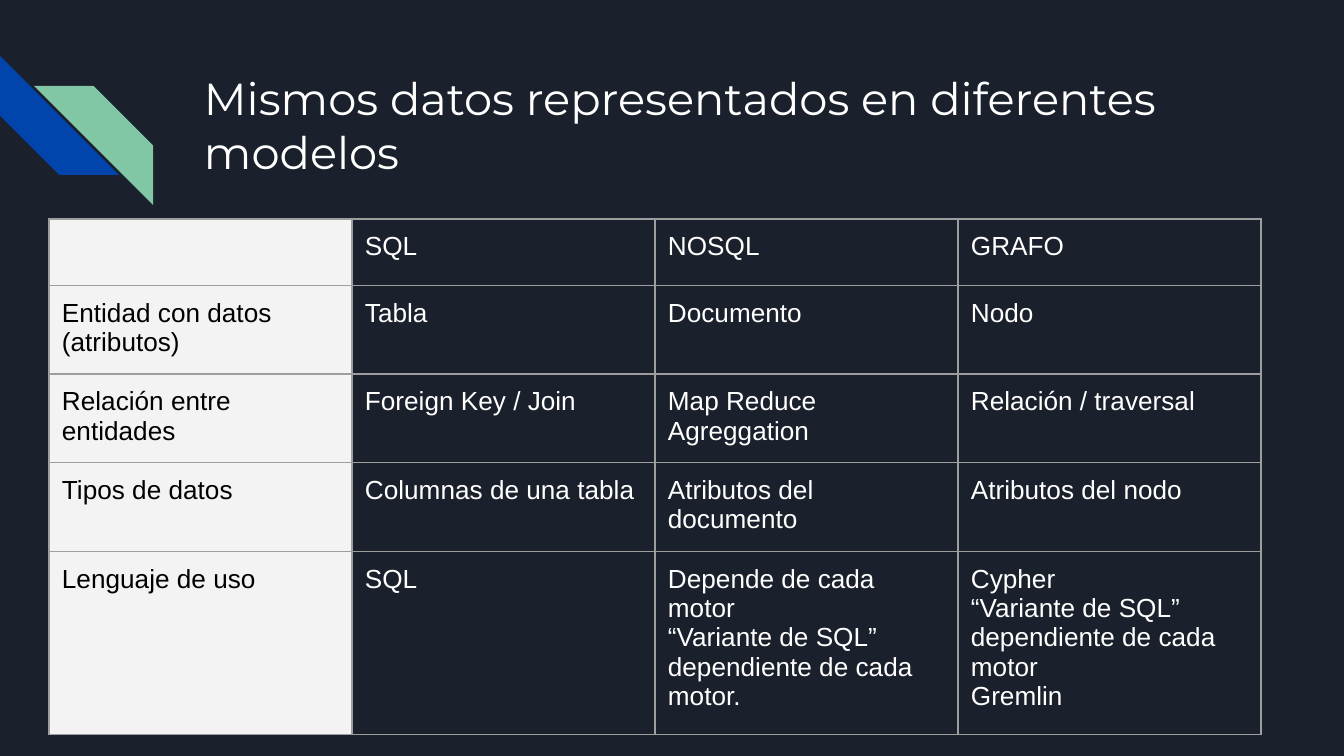
from dataclasses import dataclass

from lxml import etree
from pptx import Presentation
from pptx.dml.color import RGBColor
from pptx.enum.shapes import MSO_SHAPE
from pptx.enum.text import MSO_ANCHOR
from pptx.oxml.ns import qn
from pptx.util import Emu, Pt

STRIPE = MSO_SHAPE.DIAGONAL_STRIPE
MIDDLE = MSO_ANCHOR.MIDDLE

SCALE = 9144000 / 1344
INSET = 13
COLORS = {
    "background": "1B212C",
    "blue": "0145AC",
    "green": "82C7A5",
    "white": "FFFFFF",
    "black": "000000",
    "label": "F3F3F3",
    "border": "9E9E9E",
}


@dataclass
class Stripe:
    x: int
    y: int
    size: int
    rotation: int
    color: str


@dataclass
class Row:
    height: int
    texts: list[str]


STRIPES = [
    Stripe(0, 56, 119, 270, "blue"),
    Stripe(34, 86, 119, 90, "green"),
]
ROWS = [
    Row(64, ["", "SQL", "NOSQL", "GRAFO"]),
    Row(86, ["Entidad con datos (atributos)", "Tabla", "Documento", "Nodo"]),
    Row(86, ["Relación entre entidades", "Foreign Key / Join",
             "Map Reduce\nAgreggation", "Relación / traversal"]),
    Row(85, ["Tipos de datos", "Columnas de una tabla",
             "Atributos del documento", "Atributos del nodo"]),
    Row(174, ["Lenguaje de uso", "SQL",
              "Depende de cada motor\n“Variante de SQL” dependiente de cada motor.",
              "Cypher\n“Variante de SQL” dependiente de cada motor\nGremlin"]),
]
TABLE_X, TABLE_Y, COLUMN_WIDTH = 49, 219, 303


def px(n: int) -> Emu:
    return Emu(round(n * SCALE))


def rgb(name: str) -> RGBColor:
    return RGBColor.from_string(COLORS[name])


def set_insets(box) -> None:
    box.margin_left = box.margin_right = px(INSET)
    box.margin_top = box.margin_bottom = px(INSET)


def add_run(p, text: str, font: str, size: int, color: str) -> None:
    r = p.add_run()
    r.text = text
    r.font.name = font
    r.font.size = Pt(size)
    r.font.color.rgb = rgb(color)


def draw_stripe(s, stripe: Stripe) -> None:
    sp = s.shapes.add_shape(STRIPE, px(stripe.x), px(stripe.y),
                            px(stripe.size), px(stripe.size))
    sp.adjustments[0] = 0.5
    sp.rotation = stripe.rotation
    sp.shadow.inherit = False
    sp.fill.solid()
    sp.fill.fore_color.rgb = rgb(stripe.color)
    sp.line.fill.background()


def draw_title(s, text: str) -> None:
    sp = s.shapes.add_textbox(px(191), px(58), px(1035), px(134))
    tf = sp.text_frame
    tf.word_wrap = True
    tf.vertical_anchor = MIDDLE
    set_insets(tf)
    add_run(tf.paragraphs[0], text, "Montserrat", 24, "white")


def set_borders(cell) -> None:
    tc_pr = cell._tc.get_or_add_tcPr()
    for side in ("lnL", "lnR", "lnT", "lnB"):
        ln = etree.SubElement(tc_pr, qn(f"a:{side}"), w=str(Pt(0.75)))
        fill = etree.SubElement(ln, qn("a:solidFill"))
        etree.SubElement(fill, qn("a:srgbClr"), val=COLORS["border"])


def fill_cell(cell, text: str, is_label: bool) -> None:
    set_insets(cell)
    set_borders(cell)
    if is_label:
        cell.fill.solid()
        cell.fill.fore_color.rgb = rgb("label")
    else:
        cell.fill.background()
    if not text:
        return
    tf = cell.text_frame
    for i, line in enumerate(text.split("\n")):
        p = tf.add_paragraph() if i else tf.paragraphs[0]
        add_run(p, line, "Arial", 14, "black" if is_label else "white")


def draw_table(s, rows: list[Row]) -> None:
    columns = len(rows[0].texts)
    height = sum(row.height for row in rows)
    table = s.shapes.add_table(len(rows), columns, px(TABLE_X), px(TABLE_Y),
                               px(columns * COLUMN_WIDTH), px(height)).table
    table.first_row = False
    table.horz_banding = False
    for column in table.columns:
        column.width = px(COLUMN_WIDTH)
    for i, row in enumerate(rows):
        table.rows[i].height = px(row.height)
        for j, text in enumerate(row.texts):
            fill_cell(table.cell(i, j), text, j == 0)


def main() -> None:
    prs = Presentation()
    prs.slide_width = px(1344)
    prs.slide_height = px(756)
    s = prs.slides.add_slide(prs.slide_layouts[6])
    s.background.fill.solid()
    s.background.fill.fore_color.rgb = rgb("background")
    for stripe in STRIPES:
        draw_stripe(s, stripe)
    draw_title(s, "Mismos datos representados en diferentes modelos")
    draw_table(s, ROWS)
    prs.save("out.pptx")


if __name__ == "__main__":
    main()
